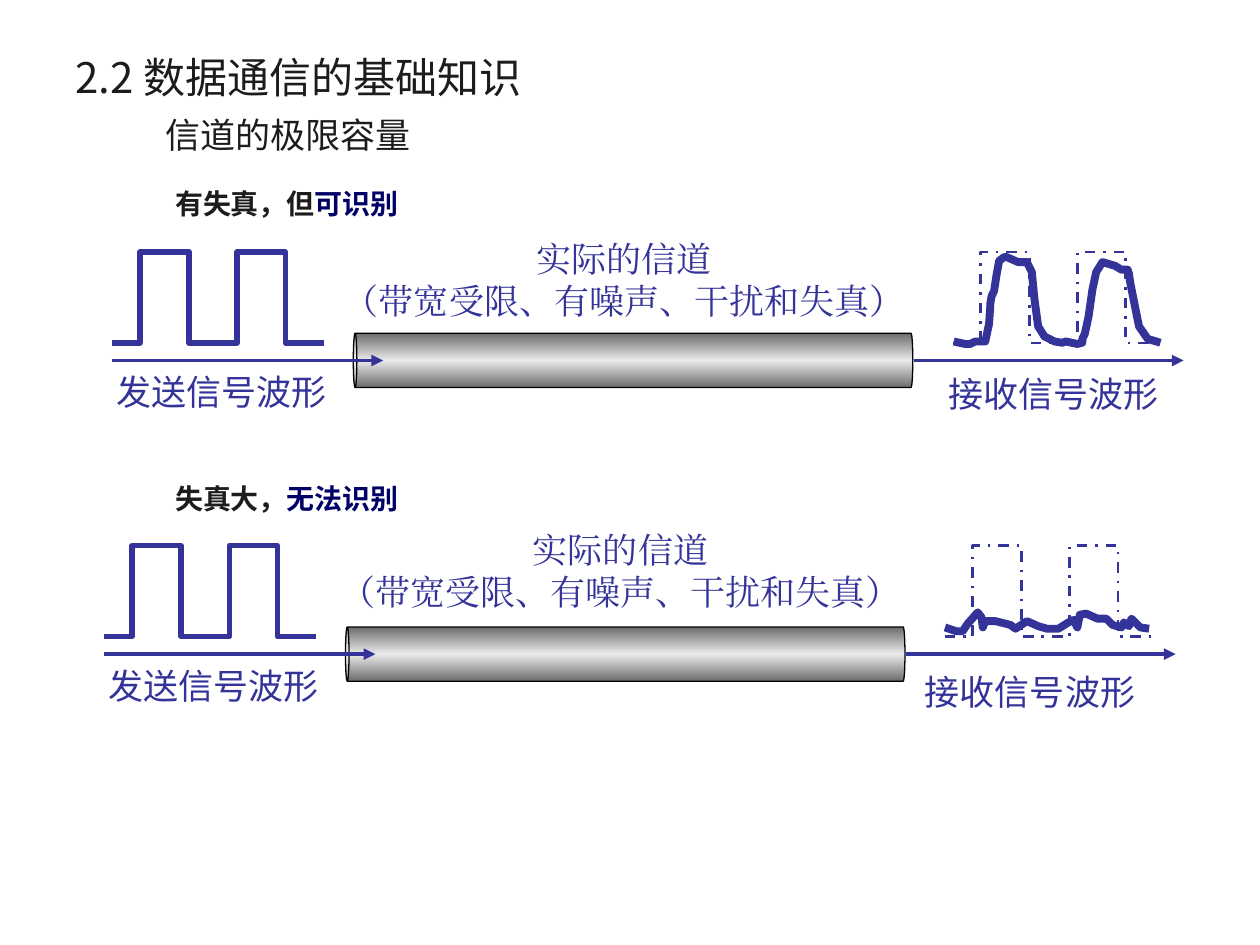
"""Build the slide on channel capacity: two channels, one with readable and one with unreadable output."""
from copy import deepcopy
from dataclasses import dataclass

from lxml import etree
from pptx import Presentation
from pptx.dml.color import RGBColor
from pptx.enum.dml import MSO_LINE
from pptx.enum.shapes import MSO_CONNECTOR, MSO_SHAPE
from pptx.enum.text import MSO_ANCHOR, PP_ALIGN
from pptx.oxml.ns import qn
from pptx.util import Pt

LEFT, CENTER = PP_ALIGN.LEFT, PP_ALIGN.CENTER
MIDDLE = MSO_ANCHOR.MIDDLE
DASH_DOT = MSO_LINE.DASH_DOT


@dataclass(frozen=True)
class Theme:
    ink: RGBColor = RGBColor(0x1C, 0x1C, 0x1C)
    verdict: RGBColor = RGBColor(0x00, 0x00, 0x66)
    signal: RGBColor = RGBColor(0x33, 0x33, 0x99)
    edge: RGBColor = RGBColor(0x00, 0x00, 0x00)
    pipe_dark: RGBColor = RGBColor(0x6C, 0x6C, 0x6C)
    pipe_light: RGBColor = RGBColor(0xEA, 0xEA, 0xEA)
    sans: str = "Noto Sans CJK SC"
    serif: str = "Times New Roman"
    title: float = 24
    label: float = 20
    note: float = 16


theme = Theme()

presentation = Presentation()
presentation.slide_width, presentation.slide_height = Pt(720), Pt(540)
slide = presentation.slides.add_slide(presentation.slide_layouts[6])


def add_text(box, lines, size, font=theme.sans, align=LEFT, bold=False, wrap=True):
    """Add a text box; each line is a list of (text, colour) runs."""
    frame = slide.shapes.add_textbox(*map(Pt, box)).text_frame
    frame.word_wrap = wrap
    frame.vertical_anchor = MIDDLE
    for index, line in enumerate(lines):
        paragraph = frame.add_paragraph() if index else frame.paragraphs[0]
        paragraph.alignment = align
        paragraph.font.size = Pt(size)
        paragraph.font.bold = bold
        paragraph.font.name = font
        paragraph.font.color.rgb = line[0][1]
        east_asian = etree.SubElement(paragraph.font._element, qn("a:ea"))
        east_asian.set("typeface", font)
        for text, color in line:
            run = paragraph.add_run()
            run.text = text
            if len(line) > 1:
                run.font.color.rgb = color


def add_wave(points, left, top, unit, width, dash=None):
    """Draw an open signal line through points measured in the given unit."""
    builder = slide.shapes.build_freeform(*points[0], scale=Pt(unit))
    builder.add_line_segments(points[1:], close=False)
    wave = builder.convert_to_shape(Pt(left), Pt(top))
    wave.shadow.inherit = False
    wave.fill.background()
    wave.line.color.rgb = theme.signal
    wave.line.width = Pt(width)
    if dash:
        wave.line.dash_style = dash
    etree.SubElement(wave.line._get_or_add_ln(), qn("a:round"))


PULSES = [(0, 104), (32, 104), (32, 0), (88, 0), (88, 104),
          (143, 104), (143, 0), (198, 0), (198, 104), (242, 104)]
READABLE = [
    (757, 271), (766, 273), (770, 273), (774, 271), (782, 271), (785, 257),
    (786, 243), (786, 241), (787, 235), (789, 231), (791, 218), (793, 207),
    (797, 204), (799, 204), (808, 208), (815, 208), (819, 216), (821, 237),
    (824, 259), (829, 267), (837, 271), (843, 272), (846, 271), (855, 273),
    (859, 272), (859, 269), (861, 265), (864, 251), (867, 230), (870, 216),
    (875, 208), (885, 211), (890, 214), (895, 214), (896, 217), (897, 224),
    (901, 244), (904, 259), (911, 269), (921, 272)]
UNREADABLE = [
    (750, 498), (759, 501), (764, 501), (768, 495), (776, 486), (779, 490),
    (780, 498), (782, 493), (785, 493), (790, 493), (802, 496), (806, 499),
    (815, 493), (824, 497), (831, 499), (840, 499), (848, 494), (852, 492),
    (855, 498), (857, 488), (862, 487), (871, 491), (878, 491), (883, 496),
    (890, 498), (892, 494), (896, 497), (898, 491), (905, 498), (912, 499)]

add_text((36, 21.6, 648, 43.9), [[("2.2 数据通信的基础知识", theme.ink)]], theme.title)
add_text((0, 59, 329, 36), [[("信道的极限容量", theme.ink)]], theme.label, align=CENTER)

channels = [
    dict(dx=0, dy=0, cause="有失真，但", verdict="可识别", verdict_top=101,
         caption=(189.4, 131.8), received=(526.3, 208.8, 151.2), trace=READABLE),
    dict(dx=-4.5, dy=167.8, cause="失真大，", verdict="无法识别", verdict_top=270,
         caption=(187.2, 298.1), received=(515.5, 379.4, 146.2), trace=UNREADABLE),
]

for channel in channels:
    dx, dy = channel["dx"], channel["dy"]
    add_text((93, channel["verdict_top"], 240, 30),
             [[(channel["cause"], theme.ink), (channel["verdict"], theme.verdict)]],
             theme.note, bold=True)

    pipe = slide.shapes.add_shape(MSO_SHAPE.CAN, Pt(346.3 + dx), Pt(46.1 + dy), Pt(31), Pt(319.7))
    pipe.rotation = 270
    pipe.adjustments[0] = 0.065
    pipe.shadow.inherit = False
    pipe.line.color.rgb = theme.edge
    pipe.line.width = Pt(0.75)
    pipe.fill.gradient()
    pipe.fill.gradient_angle = 270
    dark, light = pipe.fill.gradient_stops
    dark.position, dark.color.rgb = 0, theme.pipe_dark
    light.position, light.color.rgb = 0.5, theme.pipe_light
    gradient = pipe._element.spPr.find(qn("a:gradFill"))
    gradient.set("rotWithShape", "0")
    stops = gradient.find(qn("a:gsLst"))
    stops.append(deepcopy(stops[0]))
    stops[-1].set("pos", "100000")

    add_wave(PULSES, 64 + dx, 144 + dy, 0.5, 3)
    add_wave(PULSES, 544.3 + dx, 144 + dy, 0.5, 1.5, DASH_DOT)
    add_wave(channel["trace"], 0, 0, 0.72, 4.5)

    for start, end in [(64, 219), (522, 676.3)]:
        arrow = slide.shapes.add_connector(
            MSO_CONNECTOR.STRAIGHT, Pt(start + dx), Pt(206 + dy), Pt(end + dx), Pt(206 + dy))
        arrow.line.color.rgb = theme.signal
        arrow.line.width = Pt(2.25)
        etree.SubElement(arrow.line._get_or_add_ln(), qn("a:tailEnd")).set("type", "triangle")
        etree.SubElement(arrow._element.spPr, qn("a:effectLst"))

    add_text((*channel["caption"], 334.8, 55.4),
             [[("实际的信道", theme.signal)], [("（带宽受限、有噪声、干扰和失真）", theme.signal)]],
             theme.label, theme.serif, CENTER, wrap=False)
    add_text((59.5 + dx, 208 + dy, 134.6, 31.7), [[("发送信号波形", theme.signal)]],
             theme.label, wrap=False)
    left, top, width = channel["received"]
    add_text((left, top, width, 31.7), [[("接收信号波形", theme.signal)]],
             theme.label, align=CENTER)

presentation.save("out.pptx")
